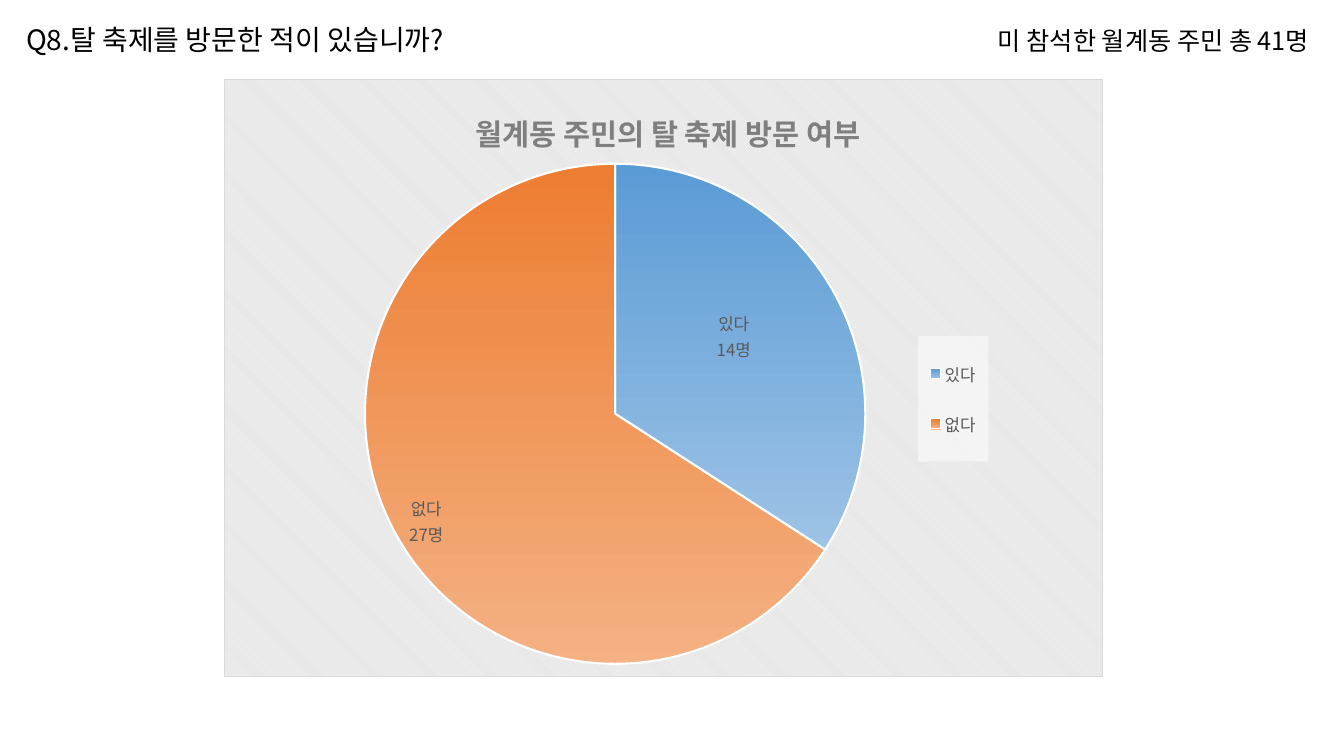
from copy import deepcopy

from lxml import etree
from pptx import Presentation
from pptx.chart.data import CategoryChartData
from pptx.dml.color import RGBColor
from pptx.enum.chart import XL_CHART_TYPE, XL_LABEL_POSITION, XL_LEGEND_POSITION
from pptx.enum.text import MSO_ANCHOR, MSO_AUTO_SIZE, PP_ALIGN
from pptx.oxml import parse_xml
from pptx.oxml.ns import nsdecls, qn
from pptx.util import Emu, Pt

PIXEL = 9071.43  # EMU at 100.8 pixels to the inch
FONT = "Noto Sans CJK KR"
BLACK = RGBColor(0x00, 0x00, 0x00)
WHITE = RGBColor(0xFF, 0xFF, 0xFF)
TITLE_GRAY = RGBColor(0x7F, 0x7F, 0x7F)
LABEL_GRAY = RGBColor(0x59, 0x59, 0x59)
SLICE_COLORS = [
    (RGBColor(0x5B, 0x9B, 0xD5), RGBColor(0x9D, 0xC3, 0xE6)),
    (RGBColor(0xED, 0x7D, 0x31), RGBColor(0xF4, 0xB1, 0x83)),
]
LABEL_OFFSETS = [(0.01, -0.03), (-0.09, 0.08)]
PIE, LEGEND_RIGHT = XL_CHART_TYPE.PIE, XL_LEGEND_POSITION.RIGHT
CENTER, TOP = XL_LABEL_POSITION.CENTER, MSO_ANCHOR.TOP
LEFT, FIT_SHAPE = PP_ALIGN.LEFT, MSO_AUTO_SIZE.SHAPE_TO_FIT_TEXT


def set_font(font, size, color, bold=False):
    """Give a font its face, size, colour and weight."""
    font.name, font.size, font.bold = FONT, Pt(size), bold
    font.color.rgb = color


def make_layout(x, y, width=None, height=None, inner=False):
    """Return a manual chart layout in fractions of the chart."""
    layout = parse_xml(f"<c:layout {nsdecls('c')}><c:manualLayout/></c:layout>")
    values = []
    if inner:
        values.append(("layoutTarget", "inner"))
    if width:
        values += [("xMode", "edge"), ("yMode", "edge")]
    values += [("x", x), ("y", y)]
    if width:
        values += [("w", width), ("h", height)]
    for name, value in values:
        etree.SubElement(layout[0], qn(f"c:{name}")).set("val", str(value))
    return layout


presentation = Presentation()
presentation.slide_width = Emu(round(1344 * PIXEL))
presentation.slide_height = Emu(round(756 * PIXEL))
slide = presentation.slides.add_slide(presentation.slide_layouts[5])

# Chart
chart_data = CategoryChartData()
chart_data.categories = ["있다", "없다"]
chart_data.add_series("Series 1", (14, 27))
chart_box = [Emu(round(value * PIXEL)) for value in (224, 79, 879, 598)]
chart = slide.shapes.add_chart(PIE, *chart_box, chart_data).chart
set_font(chart.font, 10, BLACK)
chart_space = chart.element
chart_space.find(qn("c:chart")).addnext(parse_xml(
    f"<c:spPr {nsdecls('c', 'a')}>"
    '<a:pattFill prst="dkDnDiag"><a:fgClr><a:srgbClr val="FFFFFF"/></a:fgClr>'
    '<a:bgClr><a:srgbClr val="E6E6E6"/></a:bgClr></a:pattFill>'
    '<a:ln w="9525"><a:solidFill><a:srgbClr val="D9D9D9"/></a:solidFill></a:ln>'
    "</c:spPr>"))

chart.has_title = True
title_run = chart.chart_title.text_frame.paragraphs[0].add_run()
title_run.text = "월계동 주민의 탈 축제 방문 여부"
set_font(title_run.font, 21, TITLE_GRAY, bold=True)
title_element = chart_space.find(".//" + qn("c:title"))
for old_layout in title_element.findall(qn("c:layout")):
    title_element.remove(old_layout)
title_layout = make_layout(0.28, 0.04)
for mode in ("yMode", "xMode"):
    element = etree.Element(qn(f"c:{mode}"))
    element.set("val", "edge")
    title_layout[0].insert(0, element)
title_element.find(qn("c:tx")).addnext(title_layout)

plot_area = chart_space.find(".//" + qn("c:plotArea"))
for old_layout in plot_area.findall(qn("c:layout")):
    plot_area.remove(old_layout)
plot_area.insert(0, make_layout(0.16, 0.14, 0.57, 0.84, inner=True))

# Legend
chart.has_legend = True
chart.legend.position = LEGEND_RIGHT
chart.legend.include_in_layout = False
set_font(chart.legend.font, 12, LABEL_GRAY)
legend_element = chart_space.find(".//" + qn("c:legend"))
for old_layout in legend_element.findall(qn("c:layout")):
    legend_element.remove(old_layout)
legend_element.find(qn("c:legendPos")).addnext(make_layout(0.79, 0.43, 0.08, 0.21))
legend_element.find(qn("c:overlay")).addnext(parse_xml(
    f"<c:spPr {nsdecls('c', 'a')}><a:solidFill><a:srgbClr val=\"FFFFFF\">"
    '<a:alpha val="50000"/></a:srgbClr></a:solidFill></c:spPr>'))

# Slices and their labels
plot = chart.plots[0]
plot.vary_by_categories = True
series = plot.series[0]
labels = series.data_labels
labels.show_category_name = True
labels.show_value = True
labels.show_percentage = False
labels.number_format = '0"명"'
labels.number_format_is_linked = False
labels.position = CENTER
set_font(labels.font, 12, LABEL_GRAY)
labels_element = series._element.find(qn("c:dLbls"))
separator = etree.Element(qn("c:separator"))
separator.text = "\n"
labels_element.find(qn("c:showBubbleSize")).addnext(separator)
shared_settings = [child for child in labels_element
                   if child.tag != qn("c:showLeaderLines")]

for index, (colors, offset) in enumerate(zip(SLICE_COLORS, LABEL_OFFSETS)):
    slice_format = series.points[index].format
    slice_format.fill.gradient()
    slice_format.fill.gradient_angle = 270
    for stop, color, position in zip(slice_format.fill.gradient_stops, colors, (0, 1)):
        stop.color.rgb = color
        stop.position = position
    slice_format.line.color.rgb = WHITE
    slice_format.line.width = Pt(1.5)

    label = parse_xml(f'<c:dLbl {nsdecls("c")}><c:idx val="{index}"/></c:dLbl>')
    label.append(make_layout(*offset))
    for setting in shared_settings:
        label.append(deepcopy(setting))
    labels_element.insert(index, label)

# Question and respondent count
question = slide.shapes.title
respondents = slide.shapes.add_textbox(0, 0, 0, 0)
for shape, box, size, text in [
    (question, (16, 17, 484, 44), 20, "Q8.탈 축제를 방문한 적이 있습니까?"),
    (respondents, (988, 20, 373, 40), 18, "미 참석한 월계동 주민 총 41명"),
]:
    shape.left, shape.top, shape.width, shape.height = [
        Emu(round(value * PIXEL)) for value in box]
    frame = shape.text_frame
    frame.word_wrap = False
    frame.auto_size = FIT_SHAPE
    frame.vertical_anchor = TOP
    paragraph = frame.paragraphs[0]
    paragraph.alignment = LEFT
    run = paragraph.add_run()
    run.text = text
    set_font(run.font, size, BLACK)

presentation.save("out.pptx")
